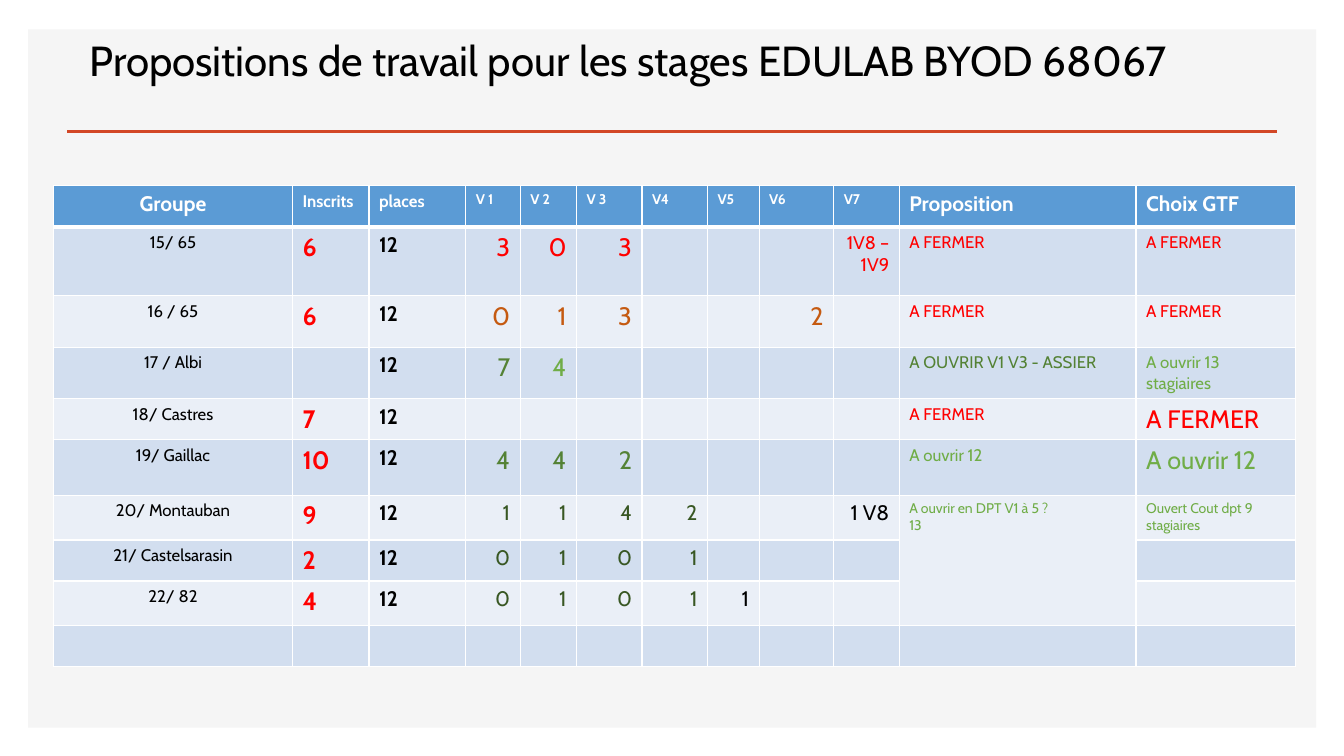
from dataclasses import dataclass
from lxml.etree import SubElement
from pptx import Presentation
from pptx.dml.color import RGBColor
from pptx.enum.shapes import MSO_CONNECTOR, MSO_SHAPE
from pptx.enum.text import MSO_ANCHOR, MSO_AUTO_SIZE, PP_ALIGN
from pptx.oxml import parse_xml
from pptx.oxml.ns import nsdecls, qn
from pptx.util import Cm, Pt


@dataclass(frozen=True)
class Theme:
    font: str = "Cabin"
    black: str = "000000"
    white: str = "FFFFFF"
    panel: str = "F5F5F5"
    rule: str = "D24726"
    header: str = "5B9BD5"
    bands: tuple = ("D2DEEF", "EAEFF7")
    red: str = "FF0000"
    orange: str = "C55A11"
    green: str = "548235"
    light_green: str = "70AD47"
    dark_green: str = "385723"
    title: int = 30
    large: int = 18
    medium: int = 15
    note: int = 13
    small: int = 12
    tiny: int = 10


theme = Theme()


def write(para, text, size, colour, bold=False):
    span = para.add_run()
    span.text = text
    span.font.name = theme.font
    span.font.size = Pt(size)
    span.font.bold = bold
    span.font.color.rgb = RGBColor.from_string(colour)


def paint(cell, fill, top, bottom):
    cell.fill.solid()
    cell.fill.fore_color.rgb = RGBColor.from_string(fill)
    properties = cell._tc.get_or_add_tcPr()
    widths = {"lnL": 1, "lnR": 1, "lnT": top, "lnB": bottom}
    for place, (side, width) in enumerate(widths.items()):
        properties.insert(place, parse_xml(
            f'<a:{side} {nsdecls("a")} w="{Pt(width)}"><a:solidFill>'
            f'<a:srgbClr val="{theme.white}"/></a:solidFill></a:{side}>'))


deck = Presentation()
deck.slide_width = Cm(33.87)
deck.slide_height = Cm(19.05)
page = deck.slides.add_slide(deck.slide_layouts[5])

title = page.shapes.title
title.left, title.top, title.width, title.height = Cm(2), Cm(0.43), Cm(29.21), Cm(1.83)
title.text_frame.auto_size = MSO_AUTO_SIZE.NONE
title.text_frame.word_wrap = True
title.text_frame.vertical_anchor = MSO_ANCHOR.BOTTOM
title_para = title.text_frame.paragraphs[0]
title_para.alignment = PP_ALIGN.LEFT
write(title_para, "Propositions de travail pour les stages EDULAB BYOD 68067", theme.title, theme.black)

panel = page.shapes.add_shape(MSO_SHAPE.RECTANGLE, Cm(0.71), Cm(0.74), Cm(32.46), Cm(17.6))
panel.shadow.inherit = False
panel.fill.solid()
panel.fill.fore_color.rgb = RGBColor.from_string(theme.panel)
panel.line.fill.background()
title.element.addprevious(panel.element)

rule = page.shapes.add_connector(MSO_CONNECTOR.STRAIGHT, Cm(1.69), Cm(3.32), Cm(32.18), Cm(3.32))
rule.line.color.rgb = RGBColor.from_string(theme.rule)
rule.line.width = Pt(2)
SubElement(rule.element.spPr, qn("a:effectLst"))

headings = [
    ("Groupe", theme.medium), ("Inscrits", theme.small), ("places", theme.small),
    *[(name, theme.tiny) for name in ("V 1", "V 2", "V 3", "V4", "V5", "V6", "V7")],
    ("Proposition", theme.medium), ("Choix GTF", theme.medium),
]
closing = ("A FERMER", theme.small, theme.red)
opening = ("A ouvrir 12", theme.small, theme.light_green)
blank = ("", theme.small, theme.black)
groups = [
    ("15/ 65", "6", {1: "3", 2: "0", 3: "3"}, theme.large, theme.red, closing, closing),
    ("16 / 65", "6", {1: "0", 2: "1", 3: "3", 6: "2"}, theme.large, theme.orange, closing, closing),
    ("17 / Albi", "", {1: "7"}, theme.large, theme.green,
     ("A OUVRIR V1 V3 - ASSIER", theme.small, theme.green),
     ("A ouvrir 13 stagiaires", theme.small, theme.light_green)),
    ("18/ Castres", "7", {}, theme.large, theme.red, closing, ("A FERMER", theme.large, theme.red)),
    ("19/ Gaillac", "10", {1: "4", 2: "4", 3: "2"}, theme.large, theme.green,
     opening, ("A ouvrir 12", theme.large, theme.light_green)),
    ("20/ Montauban", "9", {1: "1", 2: "1", 3: "4", 4: "2"}, theme.medium, theme.dark_green,
     ("A ouvrir en DPT V1 à 5 ?\n13", theme.tiny, theme.light_green),
     ("Ouvert Cout dpt 9 stagiaires", theme.tiny, theme.light_green)),
    ("21/ Castelsarasin", "2", {1: "0", 2: "1", 3: "0", 4: "1"}, theme.medium, theme.dark_green,
     blank, blank),
    ("22/ 82", "4", {1: "0", 2: "1", 3: "0", 4: "1"}, theme.medium, theme.dark_green,
     blank, blank),
]
special_votes = {
    (1, 7): ("1V8 – 1V9", theme.note, theme.red),
    (3, 2): ("4", theme.large, theme.light_green),
    (6, 7): ("1 V8", theme.medium, theme.black),
    (8, 5): ("1", theme.medium, theme.black),
}
column_widths = [6.02, 1.93, 2.44, 1.37, 1.42, 1.65, 1.65, 1.3, 1.88, 1.65, 5.97, 4.01]
row_heights = [1.04, 1.73, 1.3, 1.3, 1.03, 1.4, 1.13, 1.03, 1.13, 1.03]

grid = page.shapes.add_table(len(row_heights), len(column_widths), Cm(1.35), Cm(4.68),
                             Cm(sum(column_widths)), Cm(sum(row_heights))).table
for column, width in zip(grid.columns, column_widths):
    column.width = Cm(width)
for row, height in zip(grid.rows, row_heights):
    row.height = Cm(height)
for row_number, row in enumerate(grid.rows):
    fill = theme.bands[(row_number - 1) % 2] if row_number else theme.header
    for cell in row.cells:
        paint(cell, fill, 3 if row_number == 1 else 1, 1 if row_number else 3)
grid.cell(6, 10).merge(grid.cell(8, 10))

for column_number, (heading, size) in enumerate(headings):
    para = grid.cell(0, column_number).text_frame.paragraphs[0]
    para.alignment = PP_ALIGN.LEFT if column_number else PP_ALIGN.CENTER
    write(para, heading, size, theme.white, True)

for row_number, (group, enrolled, votes, size, colour, proposal, choice) in enumerate(groups, 1):
    entries = {
        0: (group, theme.small, theme.black),
        1: (enrolled, theme.large, theme.red, True),
        2: ("12", theme.medium, theme.black, True),
        10: proposal,
        11: choice,
    }
    for vote in range(1, 8):
        entries[vote + 2] = special_votes.get((row_number, vote), (votes.get(vote, ""), size, colour))
    for column_number, (text, *style) in entries.items():
        if not text:
            continue
        frame = grid.cell(row_number, column_number).text_frame
        for line_number, line in enumerate(text.split("\n")):
            para = frame.add_paragraph() if line_number else frame.paragraphs[0]
            if column_number == 0:
                para.alignment = PP_ALIGN.CENTER
            elif 3 <= column_number <= 9:
                para.alignment = PP_ALIGN.RIGHT
            write(para, line, *style)

deck.save("out.pptx")
